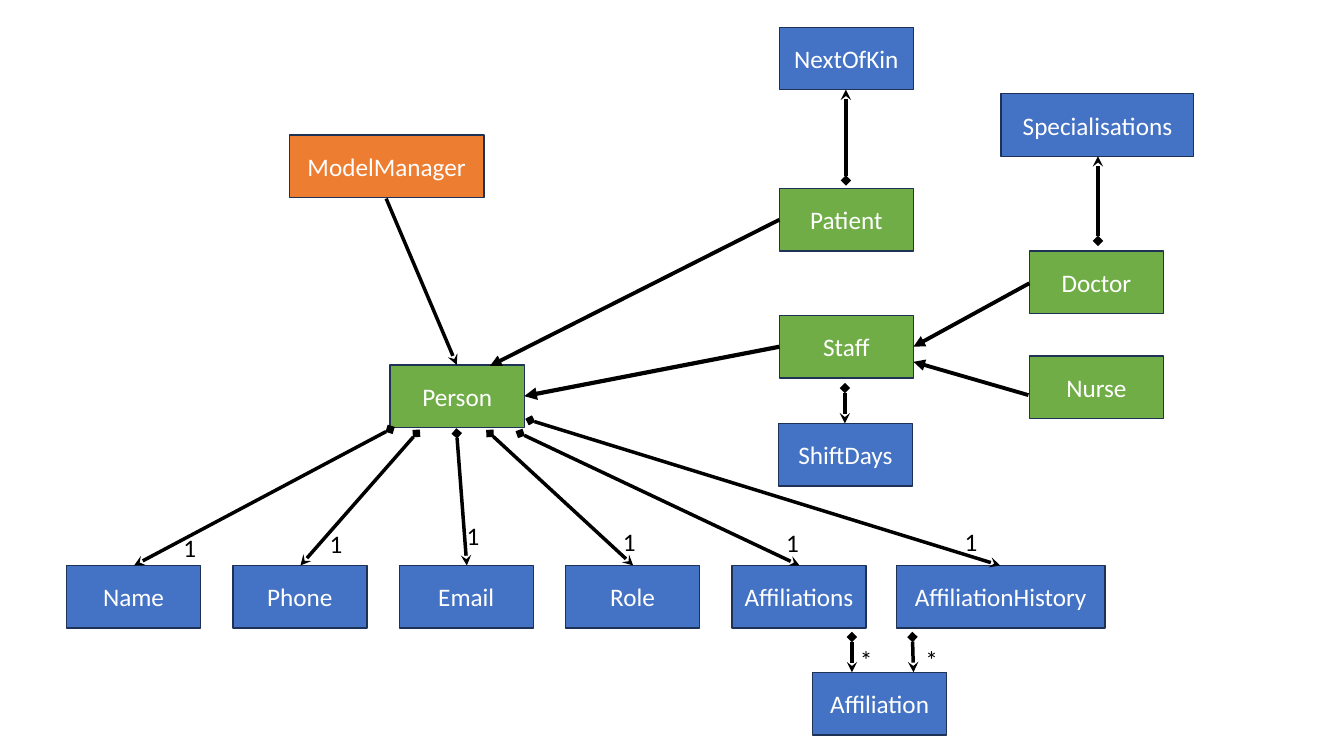
from lxml import etree
from pptx import Presentation
from pptx.dml.color import RGBColor
from pptx.enum import shapes, text
from pptx.oxml import ns
from pptx.util import Inches, Pt

BLUE = RGBColor(0x44, 0x72, 0xC4)
GREEN = RGBColor(0x70, 0xAD, 0x47)
ORANGE = RGBColor(0xED, 0x7D, 0x31)
NAVY = RGBColor(0x1E, 0x32, 0x56)
BLACK = RGBColor(0, 0, 0)
WHITE = RGBColor(0xFF, 0xFF, 0xFF)

CLASS_WIDTH, CLASS_HEIGHT = 1.33, 0.62
FIELD_LEFT, FIELD_TOP, FIELD_STEP = 0.66, 5.61, 1.65

prs = Presentation()
prs.slide_width = Inches(13.33)
prs.slide_height = Inches(7.5)
slide = prs.slides.add_slide(prs.slide_layouts[6])


def write(paragraph, words, color):
    run = paragraph.add_run()
    run.text = words
    run.font.name = "Calibri"
    run.font.size = Pt(18)
    run.font.color.rgb = color


def connect(start, end, width, head, tail):
    link = slide.shapes.add_connector(
        shapes.MSO_CONNECTOR.STRAIGHT, *map(Inches, start + end))
    link.line.color.rgb = BLACK
    link.line.width = Pt(width)
    outline = link.line._get_or_add_ln()
    for tag, arrow in (("a:headEnd", head), ("a:tailEnd", tail)):
        if arrow:
            etree.SubElement(outline, ns.qn(tag), type=arrow)
    etree.SubElement(link._element.spPr, ns.qn("a:effectLst"))


fields = ["Name", "Phone", "Email", "Role", "Affiliations"]
classes = [
    (field, FIELD_LEFT + i * FIELD_STEP, FIELD_TOP, CLASS_WIDTH, BLUE)
    for i, field in enumerate(fields)
] + [
    ("AffiliationHistory", 8.89, FIELD_TOP, 2.07, BLUE),
    ("Person", 3.87, 3.62, CLASS_WIDTH, GREEN),
    ("ModelManager", 2.87, 1.34, 1.93, ORANGE),
    ("Staff", 7.73, 3.13, CLASS_WIDTH, GREEN),
    ("Patient", 7.73, 1.87, CLASS_WIDTH, GREEN),
    ("Nurse", 10.21, 3.53, CLASS_WIDTH, GREEN),
    ("Doctor", 10.21, 2.49, CLASS_WIDTH, GREEN),
    ("ShiftDays", 7.72, 4.2, CLASS_WIDTH, BLUE),
    ("NextOfKin", 7.73, 0.27, CLASS_WIDTH, BLUE),
    ("Affiliation", 8.06, 6.67, CLASS_WIDTH, BLUE),
    ("Specialisations", 9.93, 0.93, 1.91, BLUE),
]
for name, left, top, width, color in classes:
    box = slide.shapes.add_shape(
        shapes.MSO_SHAPE.RECTANGLE,
        Inches(left), Inches(top), Inches(width), Inches(CLASS_HEIGHT))
    box.shadow.inherit = False
    box.fill.solid()
    box.fill.fore_color.rgb = color
    box.line.color.rgb = NAVY
    box.line.width = Pt(1)
    box.text_frame.vertical_anchor = text.MSO_ANCHOR.MIDDLE
    label = box.text_frame.paragraphs[0]
    label.alignment = text.PP_ALIGN.CENTER
    write(label, name, WHITE)

compositions = [
    ((5.26, 4.17), (9.92, FIELD_TOP)),
    ((5.16, 4.3), (7.93, FIELD_TOP)),
    ((4.86, 4.3), (6.28, FIELD_TOP)),
    ((4.53, 4.3), (4.63, FIELD_TOP)),
    ((4.13, 4.3), (2.98, FIELD_TOP)),
    ((3.87, 4.26), (1.33, FIELD_TOP)),
    ((8.38, 3.85), (8.38, 4.2)),
    ((8.39, 1.79), (8.39, 0.89)),
    ((8.45, 6.32), (8.45, 6.67)),
    ((9.05, 6.32), (9.06, 6.67)),
    ((10.89, 2.39), (10.89, 1.55)),
]
for whole, part in compositions:
    connect(whole, part, 2.5, "diamond", "stealth")

connect((3.83, 1.97), (4.53, 3.62), 2.5, None, "stealth")

inheritances = [
    ((7.73, 3.44), (5.2, 3.93), 3),
    ((7.73, 2.18), (4.86, 3.63), 2.75),
    ((10.21, 2.81), (9.06, 3.44), 2.75),
    ((10.2, 3.92), (9.06, 3.59), 2.75),
]
for child, parent, width in inheritances:
    connect(child, parent, width, None, "triangle")

multiplicities = [
    ("*", 9.08, 6.34), ("*", 8.43, 6.34),
    ("1", 9.47, 5.17), ("1", 7.7, 5.18), ("1", 6.08, 5.17),
    ("1", 4.53, 5.11), ("1", 3.17, 5.19), ("1", 1.72, 5.23),
]
for count, left, top in multiplicities:
    mark = slide.shapes.add_textbox(
        Inches(left), Inches(top), Inches(0.33), Inches(0.4))
    mark.text_frame.word_wrap = count == "1"
    mark.text_frame.auto_size = text.MSO_AUTO_SIZE.SHAPE_TO_FIT_TEXT
    write(mark.text_frame.paragraphs[0], count, BLACK)

prs.save("out.pptx")
